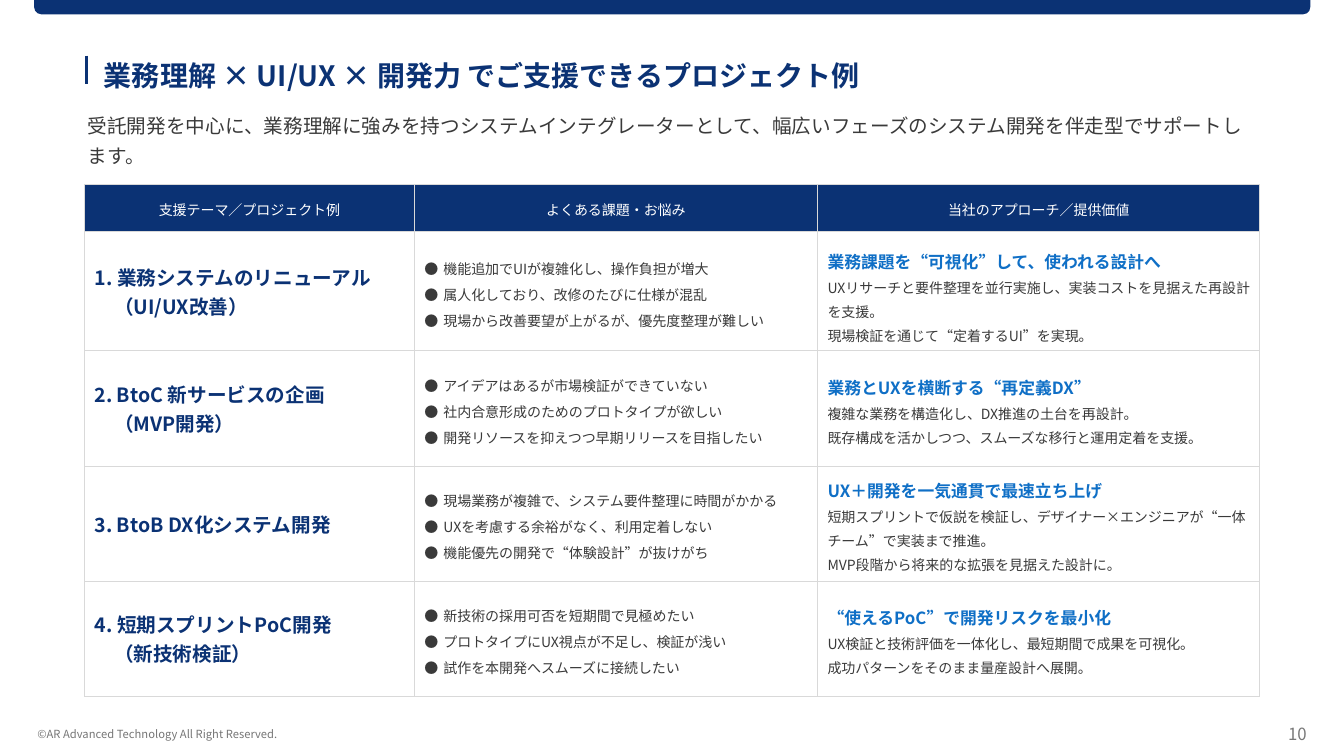
from lxml import etree
from pptx import Presentation
from pptx.dml.color import RGBColor
from pptx.enum.shapes import MSO_CONNECTOR, MSO_SHAPE
from pptx.enum.text import MSO_ANCHOR, MSO_AUTO_SIZE, PP_ALIGN
from pptx.oxml.ns import qn
from pptx.util import Cm, Pt

MIDDLE, TOP = MSO_ANCHOR.MIDDLE, MSO_ANCHOR.TOP
LEFT, CENTER, RIGHT = PP_ALIGN.LEFT, PP_ALIGN.CENTER, PP_ALIGN.RIGHT
NO_AUTOFIT = MSO_AUTO_SIZE.NONE
STRAIGHT = MSO_CONNECTOR.STRAIGHT
TOP_ROUNDED = MSO_SHAPE.ROUND_2_SAME_RECTANGLE
COLORS = {"navy": "0B3274", "blue": "0F6FC6", "text": "3A3A3A", "white": "FFFFFF",
          "border": "D9D9D9", "footer": "767676", "number": "797979"}
NOTO, QUICKSAND = "Noto Sans CJK JP", "Quicksand"
MIXED = (QUICKSAND, NOTO, QUICKSAND)
COLUMN_WIDTHS = (8.31, 10.16, 11.15)
ROW_HEIGHTS = (1.19, 2.97, 2.9, 2.9, 2.9)
HEADERS = ("支援テーマ／プロジェクト例", "よくある課題・お悩み", "当社のアプローチ／提供価値")
PROJECTS = [
    {"theme": ("1. 業務システムのリニューアル", "（UI/UX改善）"),
     "fonts": (NOTO,) * 3,
     "issues": ("機能追加でUIが複雑化し、操作負担が増大",
                "属人化しており、改修のたびに仕様が混乱",
                "現場から改善要望が上がるが、優先度整理が難しい"),
     "spacing": 1.5,
     "value": "業務課題を“可視化”して、使われる設計へ",
     "details": ("UXリサーチと要件整理を並行実施し、実装コストを見据えた再設計を支援。",
                 "現場検証を通じて“定着するUI”を実現。")},
    {"theme": ("2. BtoC 新サービスの企画", "（MVP開発）"),
     "fonts": (QUICKSAND,) * 3,
     "issues": ("アイデアはあるが市場検証ができていない",
                "社内合意形成のためのプロトタイプが欲しい",
                "開発リソースを抑えつつ早期リリースを目指したい"),
     "spacing": 1.2,
     "value": "業務とUXを横断する“再定義DX”",
     "details": ("複雑な業務を構造化し、DX推進の土台を再設計。",
                 "既存構成を活かしつつ、スムーズな移行と運用定着を支援。")},
    {"theme": ("3. BtoB DX化システム開発",),
     "fonts": MIXED,
     "issues": ("現場業務が複雑で、システム要件整理に時間がかかる",
                "UXを考慮する余裕がなく、利用定着しない",
                "機能優先の開発で“体験設計”が抜けがち"),
     "spacing": 1.2,
     "value": "UX＋開発を一気通貫で最速立ち上げ",
     "details": ("短期スプリントで仮説を検証し、デザイナー×エンジニアが“一体チーム”で実装まで推進。",
                 "MVP段階から将来的な拡張を見据えた設計に。")},
    {"theme": ("4. 短期スプリントPoC開発", "（新技術検証）"),
     "fonts": MIXED,
     "issues": ("新技術の採用可否を短期間で見極めたい",
                "プロトタイプにUX視点が不足し、検証が浅い",
                "試作を本開発へスムーズに接続したい"),
     "spacing": 1.2,
     "value": "“使えるPoC”で開発リスクを最小化",
     "details": ("UX検証と技術評価を一体化し、最短期間で成果を可視化。",
                 "成功パターンをそのまま量産設計へ展開。")},
]


def rgb(name):
    """Return the named colour."""
    return RGBColor.from_string(COLORS[name])


class ProjectPage:
    """Draws the elements of one slide in a shared style."""

    def __init__(self, deck):
        """Add a page with a title and a body placeholder."""
        self.page = deck.slides.add_slide(deck.slide_layouts[1])
        self.shapes = self.page.shapes

    def paragraph(self, frame, text, size, color, bold=False, font=NOTO, align=LEFT,
                  spacing=1.0, indent=0, bullet=None):
        """Fill the first empty paragraph or append a new one."""
        para = frame.paragraphs[0]
        if para.runs:
            para = frame.add_paragraph()
        para.alignment, para.line_spacing = align, spacing
        para.space_before = para.space_after = Pt(0)
        properties = para._p.get_or_add_pPr()
        properties.set("marL", str(Cm(indent)))
        properties.set("indent", str(-Cm(indent) if bullet else 0))
        if bullet:
            etree.SubElement(properties, qn("a:buFont"), typeface=NOTO)
            etree.SubElement(properties, qn("a:buChar"), char=bullet)
        else:
            etree.SubElement(properties, qn("a:buNone"))
        span = para.add_run()
        span.text = text
        span.font.size, span.font.bold, span.font.name = Pt(size), bold, font
        span.font.color.rgb = rgb(color)
        etree.SubElement(span._r.get_or_add_rPr(), qn("a:ea"), typeface=NOTO)

    def text(self, box, place, text, size, color, anchor=TOP, inset=0, wrap=True, **style):
        """Place a box or placeholder and set its text."""
        box.left, box.top, box.width, box.height = map(Cm, place)
        frame = box.text_frame
        frame.margin_left = frame.margin_right = frame.margin_bottom = 0
        frame.margin_top = Cm(inset)
        frame.word_wrap, frame.auto_size = wrap, NO_AUTOFIT
        frame.vertical_anchor = anchor
        self.paragraph(frame, text, size, color, **style)

    def footer(self, place, text, size, color, align):
        """Add a small text at the foot of the page."""
        box = self.shapes.add_textbox(0, 0, 0, 0)
        self.text(box, place, text, size, color, MIDDLE, 0.1, align=align)

    def bar(self, place):
        """Add the band hanging from the top edge."""
        band = self.shapes.add_shape(TOP_ROUNDED, *map(Cm, place))
        band.rotation = 180
        band.adjustments[0], band.adjustments[1] = 0.5, 0
        band.shadow.inherit = False
        band.fill.solid()
        band.fill.fore_color.rgb = rgb("navy")
        band.line.fill.background()

    def line(self, ends, color, width):
        """Add a straight line without shadow."""
        line = self.shapes.add_connector(STRAIGHT, *map(Cm, ends))
        line.line.color.rgb, line.line.width = rgb(color), Pt(width)
        etree.SubElement(line._element.spPr, qn("a:effectLst"))

    def style_cell(self, cell, fill=None):
        """Give a cell its borders, fill and anchor."""
        properties = cell._tc.get_or_add_tcPr()
        for side in ("lnL", "lnR", "lnT", "lnB"):
            border = etree.SubElement(properties, qn(f"a:{side}"), w=str(Pt(0.75)))
            solid = etree.SubElement(border, qn("a:solidFill"))
            etree.SubElement(solid, qn("a:srgbClr"), val=COLORS["border"])
        if fill:
            cell.fill.solid()
            cell.fill.fore_color.rgb = rgb(fill)
        else:
            cell.fill.background()
        cell.vertical_anchor = MIDDLE

    def table(self, left, top):
        """Add the table of projects, issues and values."""
        table = self.shapes.add_table(
            len(ROW_HEIGHTS), len(COLUMN_WIDTHS), Cm(left), Cm(top),
            Cm(sum(COLUMN_WIDTHS)), Cm(sum(ROW_HEIGHTS))).table
        table.first_row = table.horz_banding = False
        for column, width in zip(table.columns, COLUMN_WIDTHS):
            column.width = Cm(width)
        for row, height in zip(table.rows, ROW_HEIGHTS):
            row.height = Cm(height)
        for cell, header, font in zip(table.rows[0].cells, HEADERS, MIXED):
            self.style_cell(cell, "navy")
            self.paragraph(cell.text_frame, header, 10, "white", font=font,
                           align=CENTER, spacing=Pt(16.5))
        for row, project in zip(list(table.rows)[1:], PROJECTS):
            for cell in row.cells:
                self.style_cell(cell)
            theme, issues, value = (cell.text_frame for cell in row.cells)
            for number, text in enumerate(project["theme"]):
                self.paragraph(theme, text, 14, "navy", bold=True, indent=0.49 * number)
            for text, font in zip(project["issues"], project["fonts"]):
                self.paragraph(issues, text, 10, "text", font=font, spacing=1.3,
                               indent=0.48, bullet="●")
            self.paragraph(value, project["value"], 12, "blue", bold=True,
                           spacing=project["spacing"])
            for text in project["details"]:
                self.paragraph(value, text, 10, "text", spacing=1.2)


def main():
    """Build the slide and save it."""
    deck = Presentation()
    deck.slide_width, deck.slide_height = Cm(33.87), Cm(19.05)
    sheet = ProjectPage(deck)
    title, body = sheet.page.placeholders
    sheet.bar((0.86, 0, 32.16, 0.36))
    sheet.footer((0.94, 18.14, 10, 0.6), "©AR Advanced Technology All Right Reserved.",
                 8, "footer", LEFT)
    sheet.footer((28.93, 18.14, 4, 0.6), "10", 12, "number", RIGHT)
    sheet.line((2.18, 1.4, 2.18, 2.11), "navy", 2)
    sheet.text(title, (2.62, 1.22, 19.74, 1.04), "業務理解 × UI/UX × 開発力 でご支援できるプロジェクト例",
               20, "navy", wrap=False, bold=True, spacing=1.3)
    sheet.table(2.13, 4.65)
    sheet.text(body, (2.21, 2.64, 29.51, 1.6),
               "受託開発を中心に、業務理解に強みを持つシステムインテグレーターとして、"
               "幅広いフェーズのシステム開発を伴走型でサポートします。",
               14, "text", inset=0.05, spacing=1.3)
    deck.save("out.pptx")


if __name__ == "__main__":
    main()
